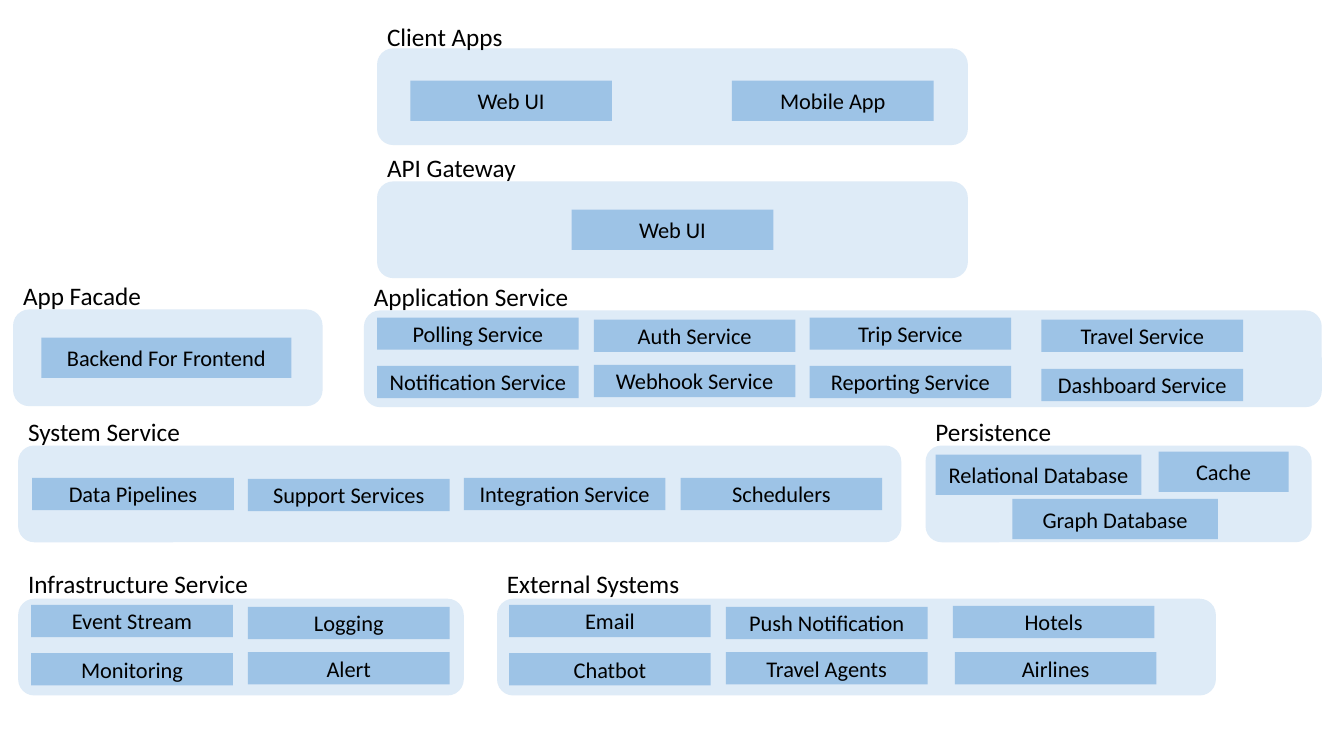
import pptx
import pptx.dml.color
import pptx.enum.shapes
import pptx.enum.text
import pptx.util

Inches = pptx.util.Inches
RGBColor = pptx.dml.color.RGBColor
Shapes = pptx.enum.shapes.MSO_SHAPE

PANEL_BLUE = RGBColor(0xDE, 0xEB, 0xF7)
BOX_BLUE = RGBColor(0x9D, 0xC3, 0xE6)
BLACK = RGBColor(0, 0, 0)
FONT = "Calibri"
PANEL_HEIGHT = 0.96
TALL, SHORT = 0.4, 0.32
SERVICE_WIDTH = 2

# Layer: heading, heading top, heading width, panel (left, top, width),
# box height, then boxes (name, left, top[, width])
LAYERS = [
    ("Client Apps", 0.16, 1.48, (3.74, 0.48, 5.86), TALL, [
        ("Web UI", 4.07, 0.8), ("Mobile App", 7.26, 0.8)]),
    ("API Gateway", 1.46, 1.48, (3.74, 1.8, 5.86), TALL, [
        ("Web UI", 5.67, 2.08)]),
    ("App Facade", 2.73, 1.48, (0.13, 3.07, 3.07), TALL, [
        ("Backend For Frontend", 0.41, 3.35, 2.48)]),
    ("Application Service", 2.74, 2.46, (3.61, 3.08, 9.5), SHORT, [
        ("Polling Service", 3.74, 3.15), ("Notification Service", 3.74, 3.63),
        ("Auth Service", 5.89, 3.17), ("Webhook Service", 5.89, 3.62),
        ("Trip Service", 8.03, 3.15), ("Reporting Service", 8.03, 3.63),
        ("Travel Service", 10.33, 3.17), ("Dashboard Service", 10.33, 3.66)]),
    ("System Service", 4.08, 2.46, (0.18, 4.42, 8.76), SHORT, [
        ("Data Pipelines", 0.32, 4.74), ("Support Services", 2.46, 4.75),
        ("Integration Service", 4.6, 4.74), ("Schedulers", 6.75, 4.74)]),
    ("Persistence", 4.08, 1.48, (9.18, 4.42, 3.83), TALL, [
        ("Relational Database", 9.28, 4.51, 2.04), ("Cache", 11.49, 4.48, 1.29),
        ("Graph Database", 10.04, 4.95, 2.04)]),
    ("Infrastructure Service", 5.59, 2.46, (0.18, 5.94, 4.42), SHORT, [
        ("Event Stream", 0.31, 6), ("Monitoring", 0.31, 6.48),
        ("Logging", 2.46, 6.02), ("Alert", 2.46, 6.47)]),
    ("External Systems", 5.59, 2.46, (4.93, 5.94, 7.13), SHORT, [
        ("Email", 5.05, 6), ("Chatbot", 5.05, 6.48),
        ("Push Notification", 7.2, 6.02), ("Travel Agents", 7.2, 6.47),
        ("Hotels", 9.45, 6.01), ("Airlines", 9.47, 6.47)]),
]


def write_text(shape, text, size):
    """Put one run of black text in a shape and return its paragraph."""
    shape.text_frame.word_wrap = True
    para = shape.text_frame.paragraphs[0]
    span = para.add_run()
    span.text = text
    span.font.name = FONT
    span.font.size = pptx.util.Pt(size)
    span.font.color.rgb = BLACK
    return para


def add_block(page, kind, left, top, width, height, color):
    """Add a flat filled shape without outline or shadow."""
    block = page.shapes.add_shape(
        kind, Inches(left), Inches(top), Inches(width), Inches(height))
    block.shadow.inherit = False
    block.fill.solid()
    block.fill.fore_color.rgb = color
    block.line.fill.background()
    return block


def add_heading(page, text, left, top, width):
    """Add the heading above a panel."""
    box = page.shapes.add_textbox(
        Inches(left), Inches(top), Inches(width), Inches(0.4))
    write_text(box, text, 18)
    box.text_frame.auto_size = pptx.enum.text.MSO_AUTO_SIZE.SHAPE_TO_FIT_TEXT


def add_component(page, height, name, left, top, width=SERVICE_WIDTH):
    """Add a component box with a centred name."""
    box = add_block(page, Shapes.RECTANGLE, left, top, width, height, BOX_BLUE)
    box.text_frame.vertical_anchor = pptx.enum.text.MSO_ANCHOR.MIDDLE
    para = write_text(box, name, 16)
    para.alignment = pptx.enum.text.PP_ALIGN.CENTER


def add_layer(page, heading, heading_top, heading_width, panel, box_height,
              components):
    """Add a panel, its heading and its components."""
    add_block(page, Shapes.ROUNDED_RECTANGLE, *panel, PANEL_HEIGHT, PANEL_BLUE)
    add_heading(page, heading, panel[0], heading_top, heading_width)
    for component in components:
        add_component(page, box_height, *component)


def main():
    """Build the architecture slide."""
    deck = pptx.Presentation()
    deck.slide_width = Inches(13.33)
    deck.slide_height = Inches(7.5)
    page = deck.slides.add_slide(deck.slide_layouts[6])
    for layer in LAYERS:
        add_layer(page, *layer)
    deck.save("out.pptx")


main()
